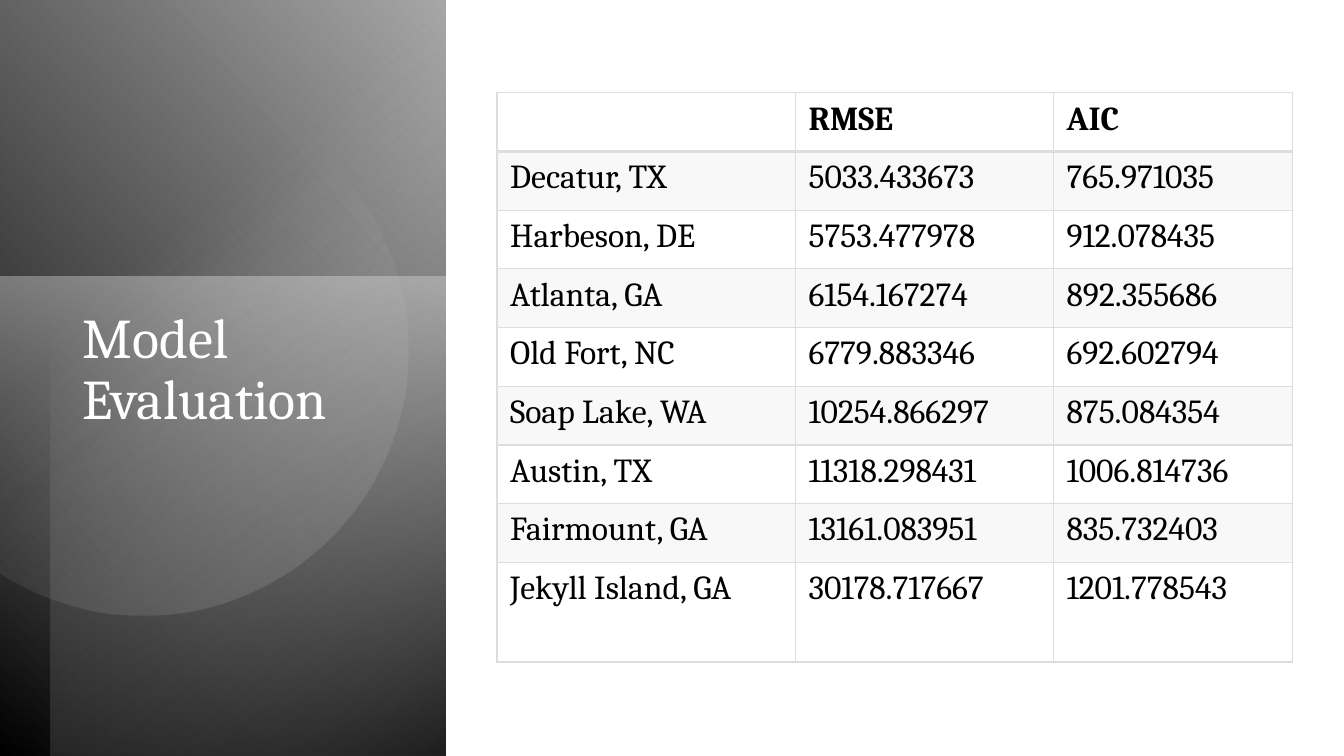
from lxml import etree
from pptx import Presentation
from pptx.dml.color import RGBColor
from pptx.enum import shapes, text
from pptx.oxml import parse_xml
from pptx.oxml.ns import nsdecls, qn
from pptx.util import Inches, Pt

COLORS = {"black": "000000", "white": "FFFFFF", "grey": "A6A6A6",
          "pale": "DDDDDD", "dark": "6E6E6E", "mist": "EBEBEB"}
FONT = "Cambria"

TITLE = "Model Evaluation"
ROWS = [
    ("", "RMSE", "AIC"),
    ("Decatur, TX", "5033.433673", "765.971035"),
    ("Harbeson, DE", "5753.477978", "912.078435"),
    ("Atlanta, GA", "6154.167274", "892.355686"),
    ("Old Fort, NC", "6779.883346", "692.602794"),
    ("Soap Lake, WA", "10254.866297", "875.084354"),
    ("Austin, TX", "11318.298431", "1006.814736"),
    ("Fairmount, GA", "13161.083951", "835.732403"),
    ("Jekyll Island, GA", "30178.717667", "1201.778543"),
]
COL_WIDTHS = (2.96, 2.56, 2.37)
TABLE_BOX = (4.93, 0.92, 7.89, 5.65)
LAST_ROW = 0.99

# Panels: box, rotation, mirrored, gradient angle, stops (position, colour, opacity)
PANELS = [
    ((-1.55, 1.55, 7.52, 4.42), 90, True, 310,
     [(0, "black", 100), (100, "grey", 100)]),
    ((-0.17, 2.91, 4.76, 4.42), 270, False, 190,
     [(0, "pale", 50), (100, "dark", 0)]),
    ((-1.29, 1.79, 7.5, 3.92), 270, True, 220,
     [(0, "black", 59), (69, "pale", 0)]),
]

# Disc cut off by the slide's left edge: a segment is an end point,
# or two control points and an end point
DISC_BOX = (0, 0.84, 4.06, 5.26)
DISC_START = (1.43, 0.84)
DISC_SEGMENTS = [
    [(1.6, 0.84), (1.78, 0.86), (1.96, 0.89)],
    [(3.38, 1.19), (4.29, 2.58), (4, 4)],
    [(3.71, 5.42), (2.32, 6.34), (0.9, 6.05)],
    [(0.63, 5.99), (0.38, 5.9), (0.15, 5.77)],
    [(0, 5.68)],
    [(0, 1.26)],
    [(0.2, 1.15)],
    [(0.57, 0.95), (0.99, 0.84), DISC_START],
]
DISC_ANGLE = 51.6
DISC_STOPS = [(39, "mist", 0), (100, "grey", 26)]


def rgb(name):
    return RGBColor.from_string(COLORS[name])


def inches(values):
    return [Inches(v) for v in values]


def set_gradient(sp, angle, stops):
    """Fill a shape with a linear gradient whose stops may be transparent."""
    gs = "".join(
        f'<a:gs pos="{pos * 1000}"><a:srgbClr val="{COLORS[color]}">'
        f'<a:alpha val="{alpha * 1000}"/></a:srgbClr></a:gs>'
        for pos, color, alpha in stops)
    grad = parse_xml(
        f'<a:gradFill {nsdecls("a")} rotWithShape="1"><a:gsLst>{gs}</a:gsLst>'
        f'<a:lin ang="{round(angle * 60000)}" scaled="0"/></a:gradFill>')
    sp.shadow.inherit = False
    sp.line.fill.background()
    sp.fill.background()
    spPr = sp._element.spPr
    spPr.replace(spPr.find(qn("a:noFill")), grad)


def add_curved_outline(slide, box, start, segments):
    """Build a closed freeform and bend the segments that have control points."""
    left, top, width, height = inches(box)
    builder = slide.shapes.build_freeform(*inches(start))
    builder.add_line_segments([inches(seg[-1]) for seg in segments], close=True)
    sp = builder.convert_to_shape()
    sp.left, sp.top, sp.width, sp.height = left, top, width, height
    outline = next(sp._element.iter(qn("a:path")))
    outline.set("w", str(width))
    outline.set("h", str(height))
    for line, seg in zip(outline.findall(qn("a:lnTo")), segments):
        if len(seg) == 3:
            bend = etree.Element(qn("a:cubicBezTo"))
            for x, y in map(inches, seg):
                pt = etree.SubElement(bend, qn("a:pt"))
                pt.set("x", str(x - left))
                pt.set("y", str(y - top))
            outline.replace(line, bend)
    return sp


def add_run(p, words, size, color, bold=False):
    r = p.add_run()
    r.text = words
    r.font.name, r.font.size, r.font.bold = FONT, Pt(size), bold
    r.font.color.rgb = rgb(color)


def set_borders(cell, widths):
    tcPr = cell._tc.get_or_add_tcPr()
    for side, width in widths.items():
        tcPr.append(parse_xml(
            f'<a:ln{side} {nsdecls("a")} w="{Pt(width)}"><a:solidFill>'
            f'<a:srgbClr val="{COLORS["pale"]}"/></a:solidFill></a:ln{side}>'))


prs = Presentation()
prs.slide_width, prs.slide_height = Inches(13.33), Inches(7.5)
slide = prs.slides.add_slide(prs.slide_layouts[5])

# Gradient panels on the left
for box, rotation, mirrored, angle, stops in PANELS:
    sp = slide.shapes.add_shape(shapes.MSO_SHAPE.RECTANGLE, *inches(box))
    sp.rotation = rotation
    if mirrored:
        sp._element.spPr.xfrm.set("flipH", "1")
    set_gradient(sp, angle, stops)

# Disc
disc = add_curved_outline(slide, DISC_BOX, DISC_START, DISC_SEGMENTS)
set_gradient(disc, DISC_ANGLE, DISC_STOPS)

# Title, brought in front of the panels
title = slide.shapes.title
title.left, title.top, title.width, title.height = inches((0.72, 3.03, 3.15, 3.36))
slide.shapes._spTree.append(title._element)
tf = title.text_frame
tf.word_wrap = True
tf.auto_size = text.MSO_AUTO_SIZE.NONE
tf.vertical_anchor = text.MSO_ANCHOR.TOP
p = tf.paragraphs[0]
p.alignment = text.PP_ALIGN.LEFT
p.line_spacing = 0.9
add_run(p, TITLE, 40, "white")

# Table of scores
table = slide.shapes.add_table(len(ROWS), len(COL_WIDTHS), *inches(TABLE_BOX)).table
table.horz_banding = False
table.first_row = False
for column, width in zip(table.columns, COL_WIDTHS):
    column.width = Inches(width)
row_height = (TABLE_BOX[3] - LAST_ROW) / (len(ROWS) - 1)
for i, values in enumerate(ROWS):
    table.rows[i].height = Inches(LAST_ROW if i == len(ROWS) - 1 else row_height)
    for j, value in enumerate(values):
        cell = table.cell(i, j)
        cell.margin_left = cell.margin_right = Inches(0.13)
        cell.margin_top = cell.margin_bottom = Inches(0.07)
        set_borders(cell, {"L": 1, "R": 1, "T": 1, "B": 2 if i == 0 else 1})
        if i % 2:
            cell.fill.solid()
            cell.fill.fore_color.rgb = rgb("pale")
            clr = cell._tc.tcPr.find(qn("a:solidFill")).find(qn("a:srgbClr"))
            etree.SubElement(clr, qn("a:alpha")).set("val", "20000")
        else:
            cell.fill.background()
        if value:
            add_run(cell.text_frame.paragraphs[0], value, 24, "black", i == 0)

prs.save("out.pptx")
